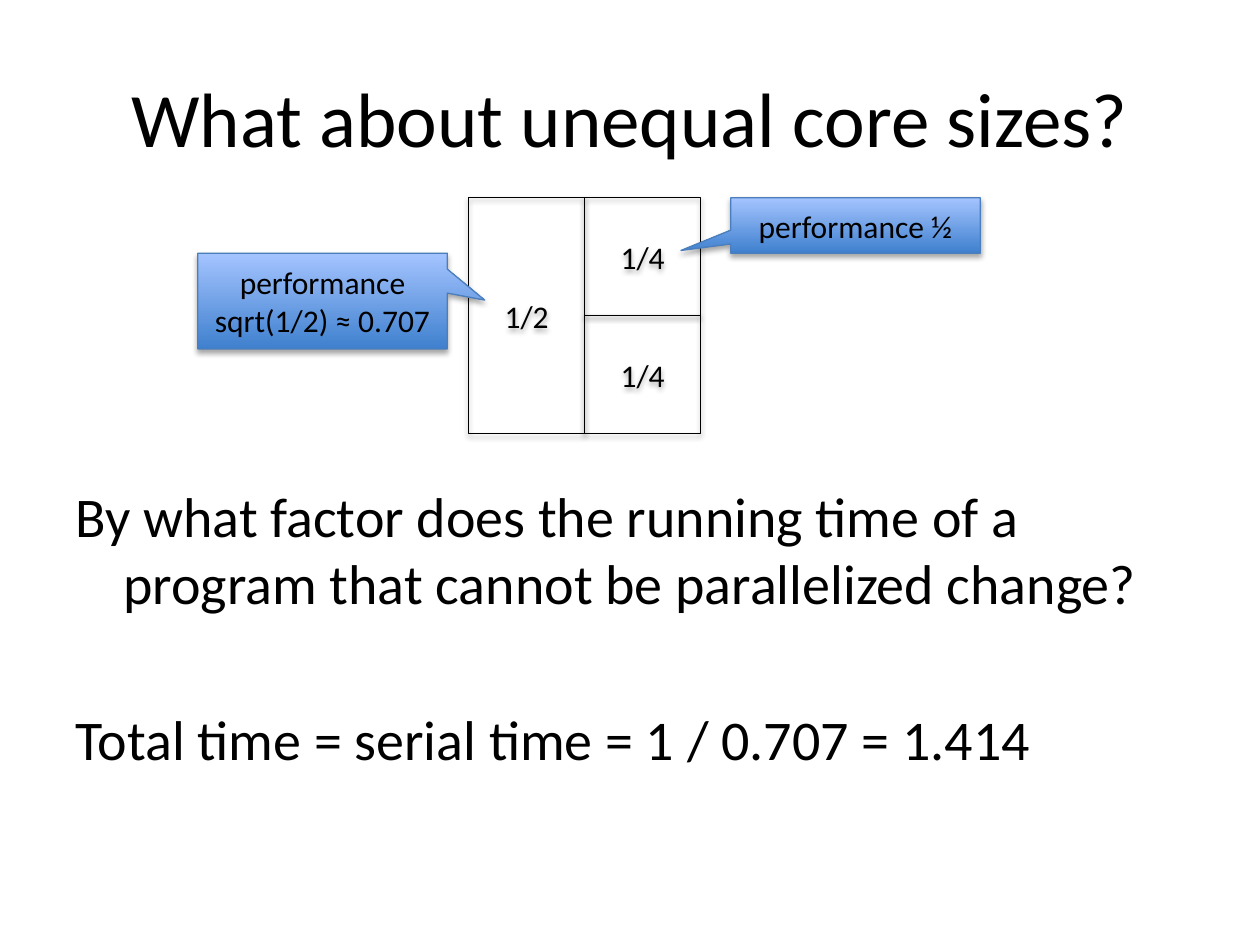
"""Build the slide on unequal core sizes."""
from dataclasses import dataclass

from lxml import etree
from pptx import Presentation
from pptx import util as u
from pptx.dml.color import RGBColor
from pptx.enum import shapes, text
from pptx.oxml.ns import qn


@dataclass(frozen=True)
class Theme:
    font: str = "Calibri"
    ink: str = "000000"
    callout_line: str = "4B7EBC"
    callout_fill: tuple = ("3F80CE", "A4C4FF")
    title_size: int = 44
    body_size: int = 32
    label_size: int = 18
    line_width: float = 0.75


THEME = Theme()
TITLE = "What about unequal core sizes?"
BODY = [
    ("By what factor does the running time of a program that cannot be parallelized change?", 6),
    ("Total time = serial time = 1 / 0.707 = 1.414", 51),
]
CHIP_LEFT, CHIP_TOP, CORE_WIDTH, CHIP_HEIGHT = 3.72, 1.57, 0.92, 1.87
CORE_COLUMNS = [["1/2"], ["1/4", "1/4"]]
CALLOUTS = [
    ("performance ½", (5.8, 1.57, 1.98, 0.44), (-0.7, 0.45)),
    ("performance\nsqrt(1/2) ≈ 0.707", (1.57, 2.01, 1.98, 0.76), (0.65, -0.01)),
]


def inches(box):
    return [u.Inches(length) for length in box]


def write(shape, content, size, align, anchor=text.MSO_ANCHOR.MIDDLE):
    frame = shape.text_frame
    frame.text = content
    frame.word_wrap = True
    frame.vertical_anchor = anchor
    for paragraph in frame.paragraphs:
        paragraph.alignment = align
        for run in paragraph.runs:
            run.font.name = THEME.font
            run.font.size = u.Pt(size)
            run.font.color.rgb = RGBColor.from_string(THEME.ink)
    return frame.paragraphs


def add_shadow(shape):
    shape.shadow.inherit = False
    effects = shape._element.spPr.find(qn("a:effectLst"))
    shadow = etree.SubElement(
        effects, qn("a:outerShdw"), blurRad=str(u.Pt(3.1)), dist=str(u.Pt(1.8)),
        dir="5400000", rotWithShape="0")
    color = etree.SubElement(shadow, qn("a:srgbClr"), val=THEME.ink)
    etree.SubElement(color, qn("a:alpha"), val="35000")


def add_label(parent, kind, box, content, line_color):
    shape = parent.add_shape(kind, *inches(box))
    shape.line.color.rgb = RGBColor.from_string(line_color)
    shape.line.width = u.Pt(THEME.line_width)
    add_shadow(shape)
    write(shape, content, THEME.label_size, text.PP_ALIGN.CENTER)
    return shape


def add_cores(slide):
    chip = slide.shapes.add_group_shape()
    for column, labels in enumerate(CORE_COLUMNS):
        height = CHIP_HEIGHT / len(labels)
        for row, label in enumerate(labels):
            box = (CHIP_LEFT + column * CORE_WIDTH, CHIP_TOP + row * height, CORE_WIDTH, height)
            core = add_label(chip.shapes, shapes.MSO_SHAPE.RECTANGLE, box, label, THEME.ink)
            core.fill.background()


def add_callouts(slide):
    for content, box, tip in CALLOUTS:
        callout = add_label(slide.shapes, shapes.MSO_SHAPE.RECTANGULAR_CALLOUT,
                            box, content, THEME.callout_line)
        callout.adjustments[0], callout.adjustments[1] = tip
        callout.fill.gradient()
        callout.fill.gradient_angle = 90
        for stop, color in zip(callout.fill.gradient_stops, THEME.callout_fill):
            stop.color.rgb = RGBColor.from_string(color)


def add_texts(slide):
    title = slide.shapes.add_textbox(*inches((0.5, 0.3, 9, 1.25)))
    write(title, TITLE, THEME.title_size, text.PP_ALIGN.CENTER)
    body = slide.shapes.add_textbox(*inches((0.5, 3.77, 9, 3.46)))
    paragraphs = write(body, "\n".join(line for line, _ in BODY), THEME.body_size,
                       text.PP_ALIGN.LEFT, text.MSO_ANCHOR.TOP)
    for paragraph, (_, gap) in zip(paragraphs, BODY):
        paragraph.space_before = u.Pt(gap)
        properties = paragraph._p.get_or_add_pPr()
        properties.set("marL", str(u.Inches(0.38)))
        properties.set("indent", str(u.Inches(-0.38)))


presentation = Presentation()
presentation.slide_width, presentation.slide_height = inches((10, 7.5))
slide = presentation.slides.add_slide(presentation.slide_layouts[6])
add_texts(slide)
add_cores(slide)
add_callouts(slide)
presentation.save("out.pptx")
